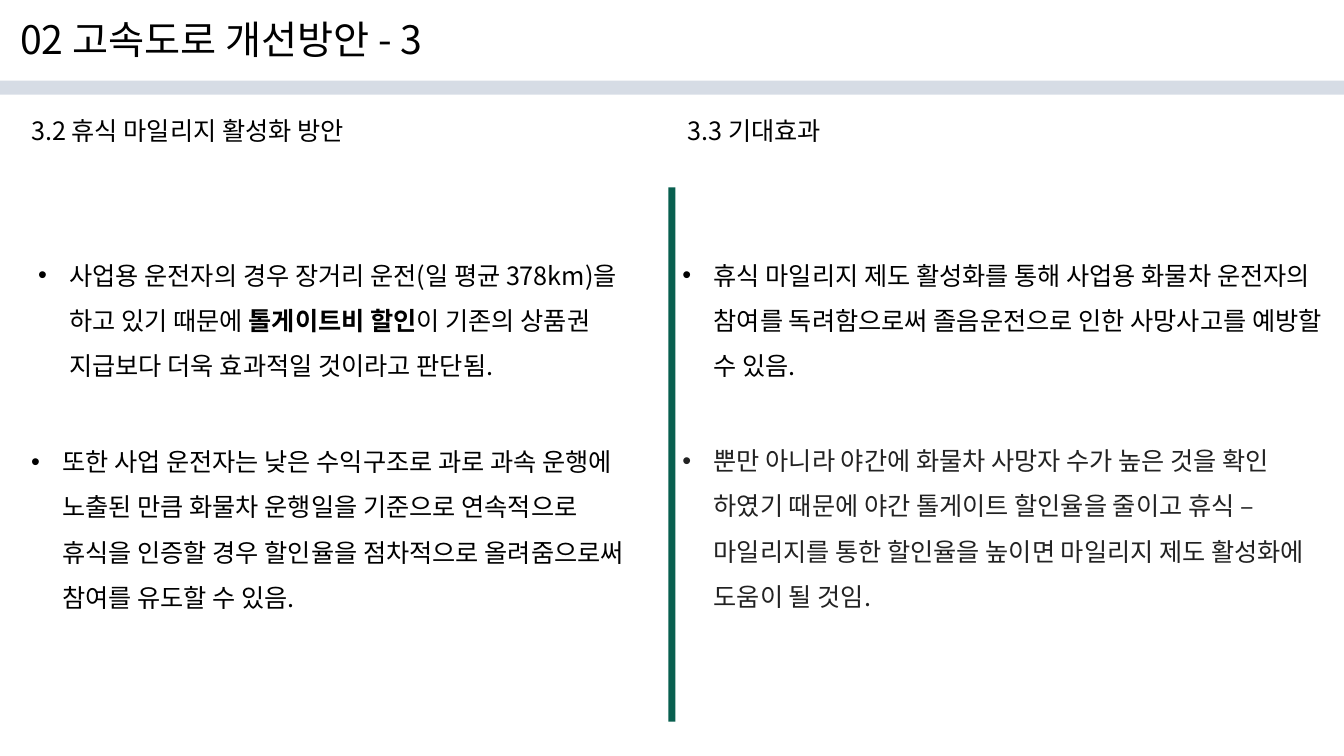
from lxml import etree
from pptx import Presentation
from pptx.dml.color import RGBColor
from pptx.enum.shapes import MSO_SHAPE
from pptx.enum.text import MSO_ANCHOR, MSO_AUTO_SIZE, PP_ALIGN
from pptx.oxml.ns import qn
from pptx.util import Inches, Pt

RECT = MSO_SHAPE.RECTANGLE
TOP = MSO_ANCHOR.TOP
FIXED = MSO_AUTO_SIZE.NONE
LEFT = PP_ALIGN.LEFT
FONT = "Noto Sans CJK KR"
COLORS = {"ink": "000000", "soft": "222222", "band": "D6DCE5", "green": "085F4F"}


def write(frame, text, size=18, color="ink", bullet=False):
    """Fill a frame with one paragraph, with bold between ** marks."""
    frame.word_wrap = True
    frame.auto_size = FIXED
    frame.vertical_anchor = TOP
    frame.margin_left = frame.margin_right = Inches(0.1)
    frame.margin_top = frame.margin_bottom = Inches(0.05)
    para = frame.paragraphs[0]
    para.alignment = LEFT
    if bullet:
        para.line_spacing = 1.5
        props = para._p.get_or_add_pPr()
        props.set("marL", str(Inches(0.31)))
        props.set("indent", str(-Inches(0.31)))
        etree.SubElement(props, qn("a:buFont")).set("typeface", "Arial")
        etree.SubElement(props, qn("a:buChar")).set("char", "•")
    for i, part in enumerate(text.split("**")):
        run = para.add_run()
        run.text = part
        font = run.font
        font.size = Pt(size)
        font.bold = i % 2 == 1
        font.name = FONT
        font.color.rgb = RGBColor.from_string(COLORS[color])
        etree.SubElement(run._r.get_or_add_rPr(), qn("a:ea")).set("typeface", FONT)


class Deck:
    """Hold the deck and its current slide."""

    def __init__(self):
        """Start a wide deck with one titled slide."""
        self.deck = Presentation()
        self.deck.slide_width = Inches(13.33)
        self.deck.slide_height = Inches(7.5)
        self.slide = self.deck.slides.add_slide(self.deck.slide_layouts[5])

    def title(self, text, *box):
        """Place and fill the title."""
        shape = self.slide.shapes.title
        shape.left, shape.top, shape.width, shape.height = map(Inches, box)
        write(shape.text_frame, text, size=28)

    def bar(self, color, *box):
        """Draw a plain filled bar."""
        shape = self.slide.shapes.add_shape(RECT, *map(Inches, box))
        shape.shadow.inherit = False
        shape.fill.solid()
        shape.fill.fore_color.rgb = RGBColor.from_string(COLORS[color])
        shape.line.fill.background()

    def text(self, text, *box, **style):
        """Add a text box."""
        shape = self.slide.shapes.add_textbox(*map(Inches, box))
        write(shape.text_frame, text, **style)


def main():
    """Build and save the slide."""
    deck = Deck()
    deck.title("02 고속도로 개선방안 - 3", 0.1, 0.1, 4.56, 0.57)
    deck.bar("band", 0, 0.8, 13.33, 0.14)
    deck.bar("green", 6.63, 1.86, 0.07, 5.3)

    deck.text("3.2 휴식 마일리지 활성화 방안", 0.21, 1.09, 5.42, 0.4)
    deck.text("3.3 기대효과", 6.72, 1.09, 3.88, 0.4)

    points = [
        ("사업용 운전자의 경우 장거리 운전(일 평균 378km)을 하고 있기 때문에 "
         "**톨게이트비 할인**이 기존의 상품권 지급보다 더욱 효과적일 것이라고 판단됨.",
         (0.28, 2.38, 6.32, 1.41), "ink"),
        ("또한 사업 운전자는 낮은 수익구조로 과로 과속 운행에 노출된 만큼 "
         "화물차 운행일을 기준으로 연속적으로 휴식을 인증할 경우 할인율을 "
         "점차적으로 올려줌으로써 참여를 유도할 수 있음.",
         (0.21, 4.23, 6.32, 1.87), "ink"),
        ("휴식 마일리지 제도 활성화를 통해 사업용 화물차 운전자의 참여를 "
         "독려함으로써 졸음운전으로 인한 사망사고를 예방할 수 있음.",
         (6.67, 2.38, 6.78, 1.41), "ink"),
        ("뿐만 아니라 야간에 화물차 사망자 수가 높은 것을 확인 하였기 때문에 "
         "야간 톨게이트 할인율을 줄이고 휴식 – 마일리지를 통한 할인율을 높이면 "
         "마일리지 제도 활성화에 도움이 될 것임.",
         (6.67, 4.22, 6.39, 1.87), "soft"),
    ]
    for text, box, color in points:
        deck.text(text, *box, color=color, bullet=True)
    deck.deck.save("out.pptx")


if __name__ == "__main__":
    main()
